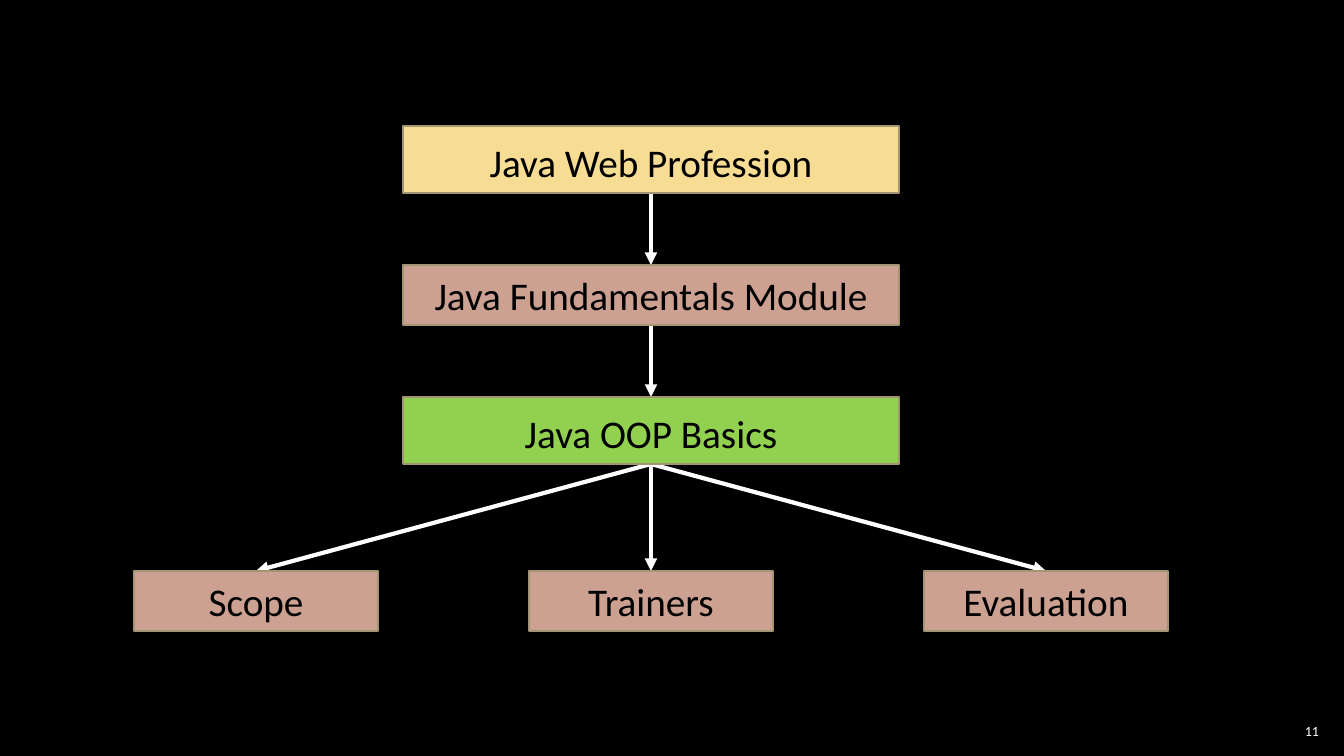
from lxml import etree
from pptx import Presentation
from pptx import util as u
from pptx.dml.color import RGBColor
from pptx.enum import shapes, text
from pptx.oxml.ns import qn

COLORS = {
    "background": "000000",
    "arrow": "FFFFFF",
    "page": "FFFFFF",
    "label": "000000",
    "outline": "A19574",
    "profession": "F7DD93",
    "module": "CCA192",
    "course": "92D050",
}
FONT = "Calibri"
BOTTOM, TOP = 2, 0
CENTERED = {"vertical_anchor": text.MSO_ANCHOR.MIDDLE,
            "margin_top": 0, "margin_bottom": 0}
LOWERED = {"vertical_anchor": text.MSO_ANCHOR.TOP,
           "margin_top": 12, "margin_bottom": 5}


def px(length):
    return u.Emu(round(length * 914400 / 100.8))


def rgb(name):
    return RGBColor.from_string(COLORS[name])


def set_all(target, values):
    for name, value in values.items():
        setattr(target, name, px(value) if name.startswith("margin") else value)


def write(shape, words, size, color, frame_format, paragraph_format):
    frame = shape.text_frame
    set_all(frame, {"word_wrap": True, **frame_format})
    paragraph = frame.paragraphs[0]
    set_all(paragraph, paragraph_format)
    run = paragraph.add_run()
    run.text = words
    set_all(run.font, {"name": FONT, "size": u.Pt(size)})
    run.font.color.rgb = rgb(color)


def add_topic(slide, words, fill, box, frame_format):
    topic = slide.shapes.add_shape(shapes.MSO_SHAPE.RECTANGLE, *map(px, box))
    topic.shadow.inherit = False
    topic.fill.solid()
    topic.fill.fore_color.rgb = rgb(fill)
    topic.line.color.rgb = rgb("outline")
    topic.line.width = u.Pt(1)
    write(topic, words, 28, "label",
          {"margin_left": 10, "margin_right": 10, **frame_format},
          {"alignment": text.PP_ALIGN.CENTER,
           "space_before": u.Pt(3), "space_after": u.Pt(3)})
    return topic


def add_arrow(slide, parent, child):
    """Point from the parent's bottom to the child's top, behind the boxes."""
    arrow = slide.shapes.add_connector(shapes.MSO_CONNECTOR.STRAIGHT, 0, 0, 0, 0)
    arrow.begin_connect(parent, BOTTOM)
    arrow.end_connect(child, TOP)
    arrow.line.color.rgb = rgb("arrow")
    arrow.line.width = u.Pt(3)
    properties = arrow._element.spPr
    etree.SubElement(properties.find(qn("a:ln")), qn("a:tailEnd"), type="triangle")
    etree.SubElement(properties, qn("a:effectLst"))
    arrow._element.getparent().insert(2, arrow._element)


def add_course_path(slide, left, top, width):
    """Stack the path from profession to course; return the course box."""
    steps = [
        ("Java Web Profession", "profession", 0, 67, LOWERED),
        ("Java Fundamentals Module", "module", 139, 60, CENTERED),
        ("Java OOP Basics", "course", 271, 67, LOWERED),
    ]
    parent = None
    for words, fill, offset, height, frame_format in steps:
        step = add_topic(slide, words, fill, (left, top + offset, width, height),
                         frame_format)
        if parent is not None:
            add_arrow(slide, parent, step)
        parent = step
    return parent


def add_course_topics(slide, course, left, top, width, height):
    """Spread the topics evenly over the width, each fed by the course."""
    topics = ["Scope", "Trainers", "Evaluation"]
    topic_width = 244
    pitch = (width - topic_width) / (len(topics) - 1)
    for column, words in enumerate(topics):
        box = (left + column * pitch, top, topic_width, height)
        add_arrow(slide, course, add_topic(slide, words, "module", box, CENTERED))


def add_page_number(slide, left, top, width, height):
    page = slide.shapes.add_textbox(*map(px, (left, top, width, height)))
    margins = {f"margin_{side}": 4 for side in ("left", "top", "right", "bottom")}
    write(page, "11", 10, "page",
          {"vertical_anchor": text.MSO_ANCHOR.MIDDLE, **margins},
          {"alignment": text.PP_ALIGN.RIGHT})


def main():
    deck = Presentation()
    deck.slide_width, deck.slide_height = px(1344), px(756)
    slide = deck.slides.add_slide(deck.slide_layouts[6])
    slide.background.fill.solid()
    slide.background.fill.fore_color.rgb = rgb("background")
    course = add_course_path(slide, 403, 126, 496)
    add_course_topics(slide, course, 134, 571, 1034, 60)
    add_page_number(slide, 1275, 720, 48, 21)
    deck.save("out.pptx")


if __name__ == "__main__":
    main()
